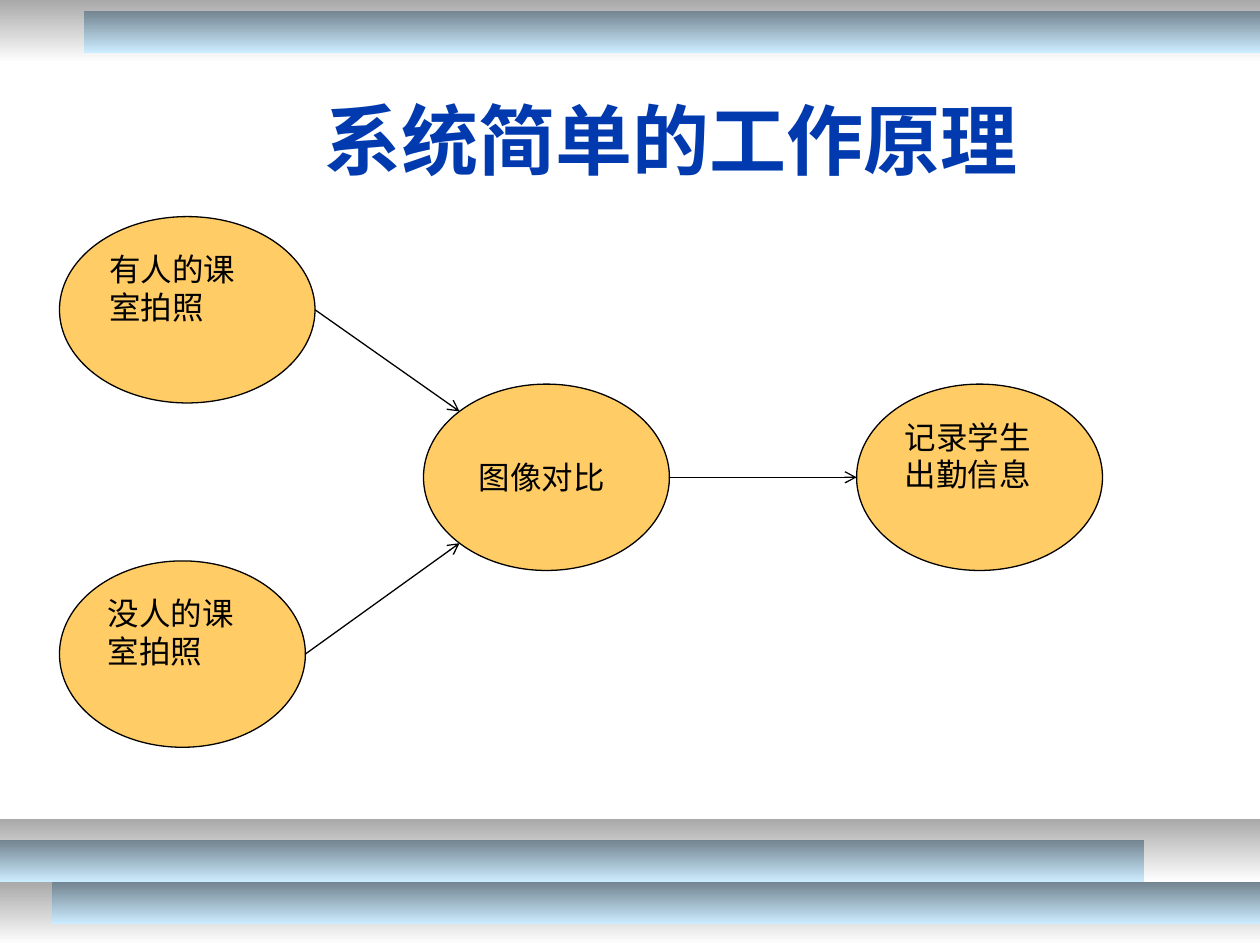
import math

import lxml.etree
import pptx
import pptx.dml.color
import pptx.enum.shapes
import pptx.enum.text
import pptx.oxml.ns
import pptx.util

Pt = pptx.util.Pt
COLORS = {
    "gray": "A9A9A9",
    "white": "FFFFFF",
    "slate": "72848F",
    "sky": "CCECFF",
    "amber": "FFCC66",
    "black": "000000",
    "title": "003AAE",
}


class FlowSlide:
    font = "Arial"
    line_width = 0.75

    def __init__(self, slide):
        self.slide = slide

    def color(self, name):
        return pptx.dml.color.RGBColor.from_string(COLORS[name])

    def shape(self, kind, left, top, width, height):
        shape = self.slide.shapes.add_shape(kind, Pt(left), Pt(top), Pt(width), Pt(height))
        shape.shadow.inherit = False
        return shape

    def band(self, left, top, width, height, start, end):
        kind = pptx.enum.shapes.MSO_SHAPE.RECTANGLE
        shape = self.shape(kind, left, top, width, height)
        shape.line.fill.background()
        shape.fill.gradient()
        shape.fill.gradient_angle = 270
        for stop, name, position in zip(shape.fill.gradient_stops, (start, end), (0, 1)):
            stop.color.rgb = self.color(name)
            stop.position = position

    def add_text(self, shape, text, size, color, align, anchor, bold=False):
        frame = shape.text_frame
        frame.word_wrap = True
        frame.vertical_anchor = anchor
        paragraph = frame.paragraphs[0]
        paragraph.alignment = align
        run = paragraph.add_run()
        run.text = text
        run.font.name = self.font
        run.font.size = Pt(size)
        run.font.bold = bold
        run.font.color.rgb = self.color(color)

    def title(self, text, left, top, width, height):
        box = self.slide.shapes.add_textbox(Pt(left), Pt(top), Pt(width), Pt(height))
        self.add_text(box, text, 44, "title", pptx.enum.text.PP_ALIGN.CENTER,
                      pptx.enum.text.MSO_ANCHOR.MIDDLE, True)

    def step(self, text, left, top, width, height=106.5,
             anchor=pptx.enum.text.MSO_ANCHOR.TOP, inset=7.2):
        shape = self.shape(pptx.enum.shapes.MSO_SHAPE.OVAL, left, top, width, height)
        shape.fill.solid()
        shape.fill.fore_color.rgb = self.color("amber")
        shape.line.color.rgb = self.color("black")
        shape.line.width = Pt(self.line_width)
        shape.text_frame.margin_left = Pt(inset)
        self.add_text(shape, text, 18, "black", pptx.enum.text.PP_ALIGN.LEFT, anchor)
        return shape

    def edge_point(self, shape, degrees):
        angle = math.radians(degrees)
        x = shape.left + shape.width / 2 * (1 + math.cos(angle))
        y = shape.top + shape.height / 2 * (1 + math.sin(angle))
        return round(x), round(y)

    def arrow(self, source, target, target_degrees):
        connector = self.slide.shapes.add_connector(
            pptx.enum.shapes.MSO_CONNECTOR.STRAIGHT,
            *self.edge_point(source, 0), *self.edge_point(target, target_degrees))
        connector.line.color.rgb = self.color("black")
        connector.line.width = Pt(self.line_width)
        properties = connector._element.spPr
        line = properties.find(pptx.oxml.ns.qn("a:ln"))
        lxml.etree.SubElement(line, pptx.oxml.ns.qn("a:tailEnd"), type="arrow")
        lxml.etree.SubElement(properties, pptx.oxml.ns.qn("a:effectLst"))


def main():
    presentation = pptx.Presentation()
    presentation.slide_width = Pt(720)
    presentation.slide_height = Pt(540)
    flow = FlowSlide(presentation.slides.add_slide(presentation.slide_layouts[6]))

    for top in (504, 468, 0):
        flow.band(0, top, 720, 36, "gray", "white")
    for left, top, width in ((0, 480, 654), (30, 504, 690), (48, 6, 672)):
        flow.band(left, top, width, 24, "slate", "sky")

    occupied = flow.step("有人的课室拍照", 34, 123.75, 146)
    comparison = flow.step("图像对比", 242, 219.5, 140.5,
                           anchor=pptx.enum.text.MSO_ANCHOR.MIDDLE, inset=11)
    empty = flow.step("没人的课室拍照", 34, 320.5, 140.5)
    record = flow.step("记录学生出勤信息", 489.5, 219.5, 140.5)

    flow.arrow(occupied, comparison, 225)
    flow.arrow(empty, comparison, 135)
    flow.arrow(comparison, record, 180)
    flow.title("系统简单的工作原理", 47.5, 34, 672.5, 90)

    presentation.save("out.pptx")


if __name__ == "__main__":
    main()
